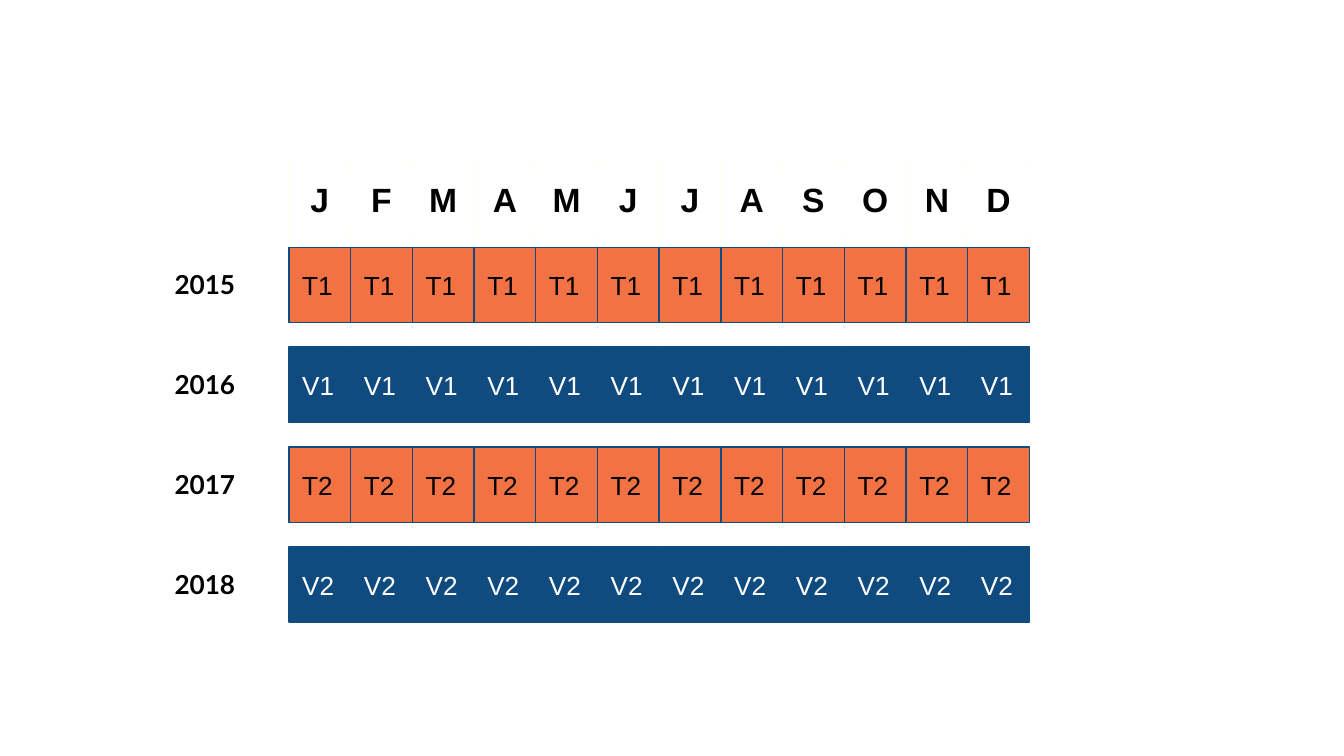
from dataclasses import dataclass

from pptx import Presentation
from pptx.dml.color import RGBColor as RGB
from pptx.enum.shapes import MSO_SHAPE as Shape
from pptx.enum.text import MSO_ANCHOR as Anchor, MSO_AUTO_SIZE as AutoSize, PP_ALIGN as Align
from pptx.util import Inches, Pt


@dataclass(frozen=True)
class Theme:
    """Colours, fonts and sizes of the calendar."""
    orange: str = "F27243"
    navy: str = "0F4B7E"
    white: str = "FFFFFF"
    ivory: str = "FFFFF4"
    black: str = "000000"
    cell_font: str = "Arial"
    year_font: str = "Lato"
    body: int = 14
    heading: int = 18
    line: float = 0.75
    inset: float = 0.1


T = Theme()
MONTHS = "JFMAMJJASOND"
YEARS = [
    ("2015", "T1", T.orange, T.black),
    ("2016", "V1", T.navy, T.white),
    ("2017", "T2", T.orange, T.black),
    ("2018", "V2", T.navy, T.white),
]


def add_text(sp, text, *, size=T.body, font=T.cell_font, color=T.black,
             bold=False, align=Align.LEFT, anchor=Anchor.MIDDLE):
    """Write formatted text into a shape."""
    tf = sp.text_frame
    tf.word_wrap = True
    tf.vertical_anchor = anchor
    tf.margin_left = tf.margin_right = tf.margin_top = tf.margin_bottom = Inches(T.inset)
    p = tf.paragraphs[0]
    p.alignment = align
    r = p.add_run()
    r.text = text
    r.font.size, r.font.name, r.font.bold = Pt(size), font, bold
    r.font.color.rgb = RGB.from_string(color)


def add_cells(shapes, box, labels, fill, line, **fmt):
    """Divide a box into equal labelled cells."""
    x, y, w, h = box
    cell_w = w / len(labels)
    for i, label in enumerate(labels):
        sp = shapes.add_shape(Shape.RECTANGLE, Inches(x + i * cell_w), Inches(y),
                              Inches(cell_w), Inches(h))
        sp.shadow.inherit = False
        sp.fill.solid()
        sp.fill.fore_color.rgb = RGB.from_string(fill)
        sp.line.color.rgb = RGB.from_string(line)
        sp.line.width = Pt(T.line)
        add_text(sp, label, **fmt)


def add_header(s, box):
    """Add the grouped row of month initials."""
    add_cells(s.shapes.add_group_shape().shapes, box, MONTHS, T.white, T.ivory,
              size=T.heading, bold=True, align=Align.CENTER)


def add_year(s, box, year, code, fill, color):
    """Add a grouped year label and its twelve cells."""
    x, y, w, h = box
    shapes = s.shapes.add_group_shape().shapes
    tb = shapes.add_textbox(Inches(x), Inches(y + 0.06), Inches(0.75), Inches(0.44))
    add_text(tb, year, font=T.year_font, bold=True, anchor=Anchor.TOP)
    tb.text_frame.auto_size = AutoSize.SHAPE_TO_FIT_TEXT
    add_cells(shapes, (x + 0.95, y, w - 0.95, h), [code] * len(MONTHS), fill, T.navy,
              color=color)


def add_calendar(s, box):
    """Place the year rows and month header in a box."""
    x, y, w, h = box
    row_h, first = 0.56, 0.64
    pitch = (h - first - row_h) / (len(YEARS) - 1)
    for i, row in enumerate(YEARS):
        add_year(s, (x, y + first + i * pitch, w, row_h), *row)
    add_header(s, (x + 0.95, y, w - 0.95, row_h))


def main():
    """Build and save the slide."""
    prs = Presentation()
    prs.slide_width = Inches(10)
    prs.slide_height = prs.slide_width * 9 // 16
    s = prs.slides.add_slide(prs.slide_layouts[6])
    add_calendar(s, (1.2, 1.2, 6.46, 3.43))
    prs.save("out.pptx")


if __name__ == "__main__":
    main()
